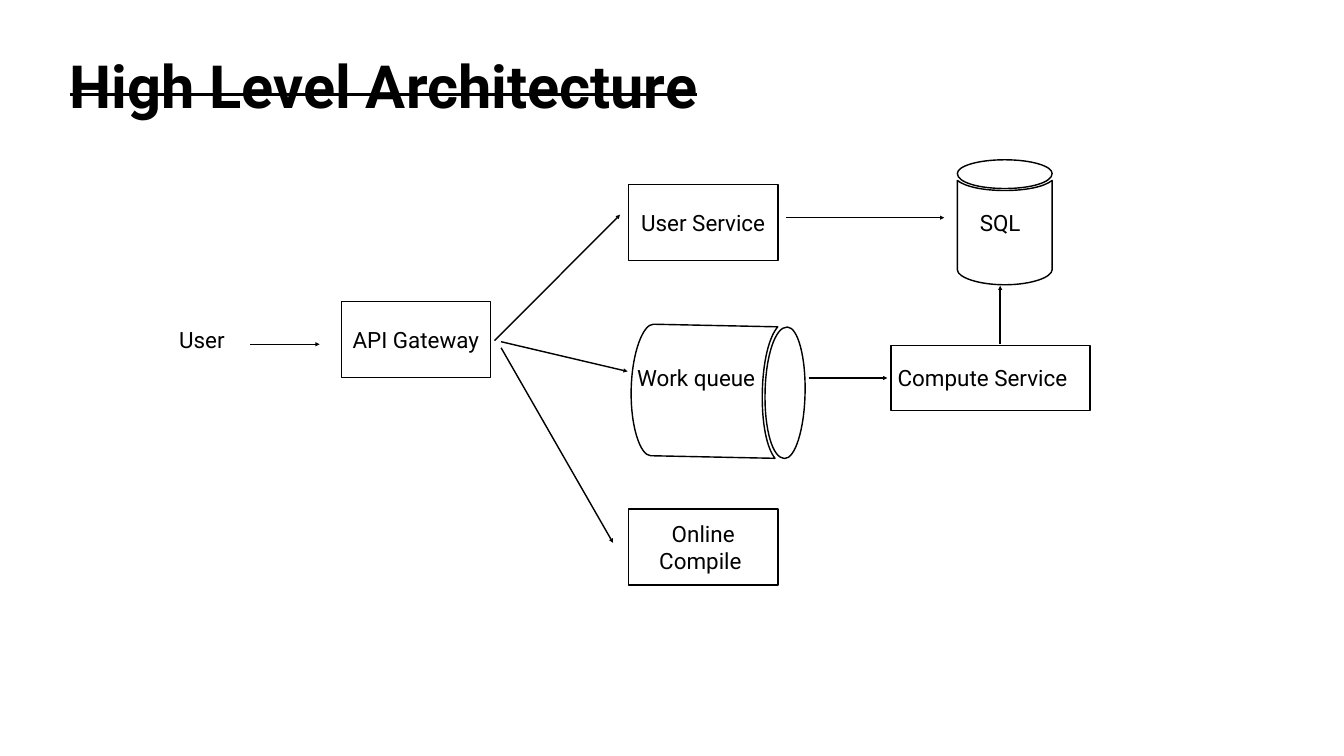
import dataclasses

import pptx
import pptx.dml.color
import pptx.enum.shapes
import pptx.enum.text
import pptx.oxml
import pptx.oxml.ns
import pptx.util

PX = pptx.util.Inches(1) // 100


@dataclasses.dataclass(frozen=True)
class Theme:
    ink: pptx.dml.color.RGBColor = pptx.dml.color.RGBColor(0, 0, 0)
    paper: pptx.dml.color.RGBColor = pptx.dml.color.RGBColor(255, 255, 255)
    font: str = "Roboto"
    title_size: int = 85
    label_size: int = 32
    stroke: int = 2
    inset: int = 6


THEME = Theme()
SERVICE_SIZE = (296, 151)
SERVICES = [
    ("API Gateway", 677, 598),
    ("User Service", 1247, 366),
    ("Online Compile ", 1247, 1010),
]
LABELS = [
    ("Compute Service", 1767, 718, 364),
    ("Work queue", 1248, 718, 266),
    ("SQL", 1937, 409, 94),
    ("User", 346, 641, 109),
]
ARROWS = [
    (496, 683, 634, 683),
    (981, 676, 1230, 426),
    (994, 678, 1245, 737),
    (994, 690, 1216, 1077),
    (1560, 432, 1873, 432),
    (1604, 750, 1760, 750),
    (1984, 683, 1984, 567),
]
LID = [
    (50, 0), (22, 0), (0, 5), (0, 11), (0, 18), (22, 23), (50, 23),
    (78, 23), (100, 18), (100, 11), (100, 5), (78, 0), (50, 0),
]
BODY = [
    (0, 16.5), (0, 88), (0, 94), (22, 100), (50, 100), (78, 100), (100, 94),
    (100, 88), (100, 16.5), (92, 21.5), (73, 24.6), (50, 24.6),
    (27, 24.6), (8, 21.5), (0, 16.5),
]
SEGMENTS = "CCCC" + "LCCLCC"


def emu(*lengths):
    return [n * PX for n in lengths]


def set_attrs(obj, values):
    for name, value in values.items():
        setattr(obj, name, value)


def set_text(sp, text, size, align, anchor, wrap, fit, bold=False):
    tf = sp.text_frame
    margins = ("margin_left", "margin_top", "margin_right", "margin_bottom")
    set_attrs(tf, {m: THEME.inset * PX for m in margins})
    set_attrs(tf, {"word_wrap": wrap, "vertical_anchor": anchor, "auto_size": fit})
    p = tf.paragraphs[0]
    p.alignment = align
    r = p.add_run()
    r.text = text
    set_attrs(r.font, {"name": THEME.font, "size": pptx.util.Pt(size), "bold": bold})
    r.font.color.rgb = THEME.ink
    return p


def set_label(sp, text, wrap, fit):
    set_text(sp, text, THEME.label_size, pptx.enum.text.PP_ALIGN.CENTER,
             pptx.enum.text.MSO_ANCHOR.MIDDLE, wrap, fit)


def set_stroke(sp):
    sp.line.color.rgb = THEME.ink
    sp.line.width = pptx.util.Pt(THEME.stroke)


def set_outline(sp, filled=True):
    sp.shadow.inherit = False
    if filled:
        sp.fill.solid()
        sp.fill.fore_color.rgb = THEME.paper
    else:
        sp.fill.background()
    set_stroke(sp)


def add_title(s, text):
    sp = s.shapes.title
    set_attrs(sp, dict(zip(("left", "top", "width", "height"), emu(132, 118, 2403, 157))))
    p = set_text(sp, text, THEME.title_size, pptx.enum.text.PP_ALIGN.LEFT,
                 pptx.enum.text.MSO_ANCHOR.TOP, True,
                 pptx.enum.text.MSO_AUTO_SIZE.NONE, bold=True)
    p.line_spacing = 0.8
    p.runs[0].font._element.set("strike", "sngStrike")


def add_box(s, x, y, w, h, text=None):
    sp = s.shapes.add_shape(pptx.enum.shapes.MSO_SHAPE.RECTANGLE, *emu(x, y, w, h))
    set_outline(sp)
    if text:
        set_label(sp, text, True, pptx.enum.text.MSO_AUTO_SIZE.NONE)


def add_label(s, text, x, y, w):
    sp = s.shapes.add_textbox(*emu(x, y, w, 64))
    set_label(sp, text, False, pptx.enum.text.MSO_AUTO_SIZE.SHAPE_TO_FIT_TEXT)


def bend_segments(sp, segments):
    lines = iter(list(sp._element.iter(pptx.oxml.ns.qn("a:lnTo"))))
    for segment in segments:
        first = next(lines)
        if segment == "C":
            first.tag = pptx.oxml.ns.qn("a:cubicBezTo")
            for line in (next(lines), next(lines)):
                first.append(line[0])
                line.getparent().remove(line)


def add_cylinder(s, x, y, w, h, rotation=0, filled=True):
    x, y, w, h = emu(x, y, w, h)
    lid, body = ([(round(x + w * px / 100), round(y + h * py / 100)) for px, py in outline]
                 for outline in (LID, BODY))
    builder = s.shapes.build_freeform(*lid[0])
    builder.add_line_segments(lid[1:], close=True)
    builder.move_to(*body[0])
    builder.add_line_segments(body[1:], close=True)
    sp = builder.convert_to_shape()
    bend_segments(sp, SEGMENTS)
    sp.rotation = rotation
    set_outline(sp, filled)


def add_arrow(s, x1, y1, x2, y2):
    sp = s.shapes.add_connector(pptx.enum.shapes.MSO_CONNECTOR.STRAIGHT, *emu(x1, y1, x2, y2))
    set_stroke(sp)
    ln = sp.line._get_or_add_ln()
    ln.append(pptx.oxml.parse_xml(
        f'<a:tailEnd {pptx.oxml.ns.nsdecls("a")} type="triangle"/>'))
    sp._element.spPr.append(pptx.oxml.parse_xml(
        f'<a:effectLst {pptx.oxml.ns.nsdecls("a")}/>'))


def main():
    prs = pptx.Presentation()
    prs.slide_width, prs.slide_height = emu(2666, 1500)
    s = prs.slides.add_slide(prs.slide_layouts[5])
    add_title(s, "High Level Architecture")
    for text, x, y in SERVICES:
        add_box(s, x, y, *SERVICE_SIZE, text)
    add_box(s, 1767, 685, 395, 129)
    add_cylinder(s, 1899, 317, 188, 248)
    add_cylinder(s, 1294, 604, 261, 345, rotation=91.2, filled=False)
    for label in LABELS:
        add_label(s, *label)
    for arrow in ARROWS:
        add_arrow(s, *arrow)
    prs.save("out.pptx")


if __name__ == "__main__":
    main()
